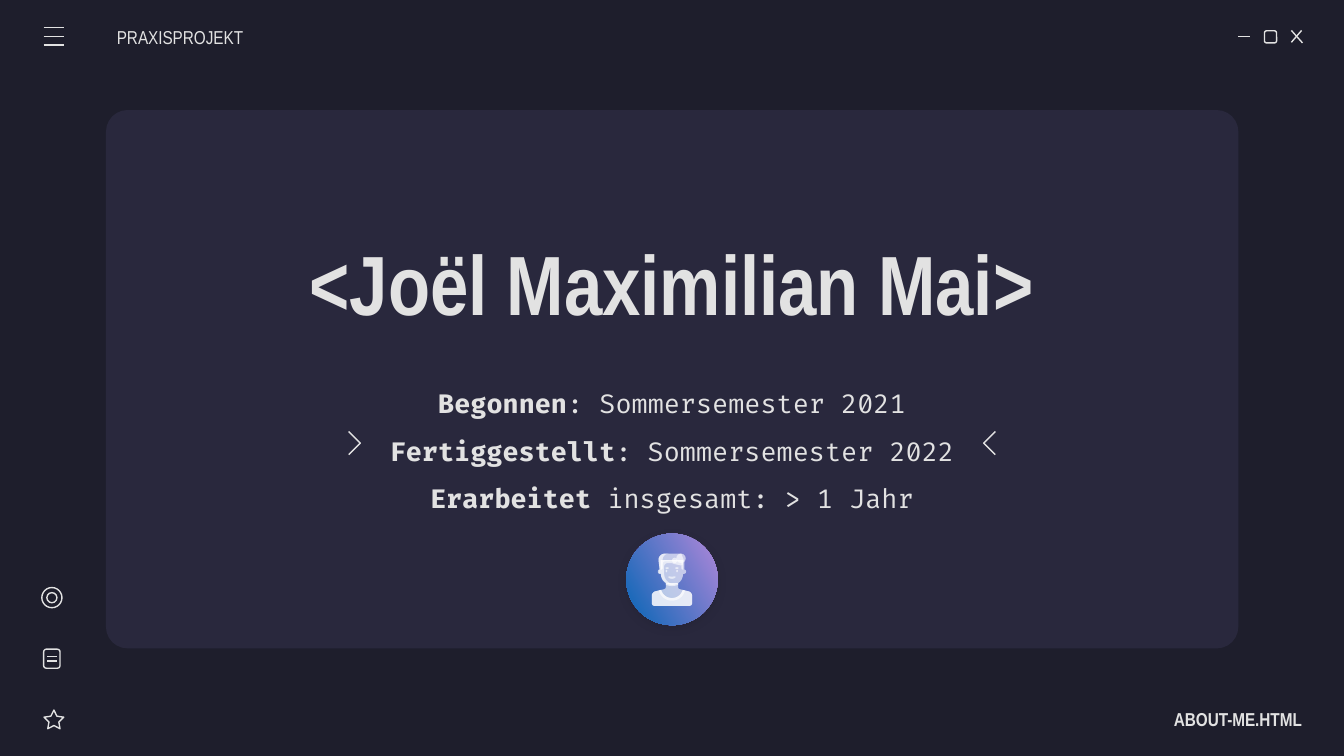
from dataclasses import dataclass

from pptx import Presentation
from pptx.dml.color import RGBColor
from pptx.enum import shapes, text
from pptx.oxml import ns, xmlchemy
from pptx.util import Pt

MSO = shapes.MSO_SHAPE
ALIGN = text.PP_ALIGN


@dataclass(frozen=True)
class Theme:
    night: str = "1E1E2C"
    panel: str = "29283D"
    ink: str = "E2E2E2"
    lilac: str = "B288DA"
    azure: str = "0665B5"
    white: str = "FFFFFF"
    heading_font: str = "Arial Narrow"
    code_font: str = "Fira Code"
    label: int = 10
    title: int = 45
    body: int = 14
    hairline: float = 0.75
    portrait_alpha: int = 61


THEME = Theme()
CENTRE = (360, 310.4)

SHOULDERS = [(-9.2, 6.5), (-10.2, 7, -10.8, 7.8, -10.8, 9),
             (-10.8, 12.6), (-10.8, 13.6, -10.2, 14.2, -9.2, 14.2)]
NECKLINE = [(0, 10), (-3, 10, -5.1, 8, -5.8, 5.6)]
SYMMETRIC_PARTS = [
    [(-3.3, 2), (-3.3, 4), (-3.3, 4.8, -3.6, 5.1, -4.3, 5.3)] + SHOULDERS,
    NECKLINE + SHOULDERS,
    [(-3.3, 2), (-3.3, 2.9), (-2.3, 3.4, -1.2, 3.6, 0, 3.6)],
    [(-6, -10.3), (-6, -5.3), (-6.6, -5.3), (-7.9, -5.3, -7.9, -3, -6.6, -3),
     (-6, -3), (-5.8, 0.6, -3.4, 3, 0, 3)],
    NECKLINE + [(-7, 6), (-6.2, 9.2, -3.4, 11.4, 0, 11.4)],
    [(0, -1.4), (-0.6, -1.4, -0.9, -1.6, -1.3, -1.6),
     (-2.2, -1.7, -2, -1, -1.5, -0.7), (-1, -0.4, -0.5, -0.3, 0, -0.3)],
]
HAIR_LEFT = [(-3.6, -13.8), (-5.8, -13.8, -7.2, -12.3, -7.2, -10.3),
             (-6.6, -5.2), (-6, -5.2), (-5.4, -5.2, -5, -5.6, -5, -6)]
ONE_SIDED_PARTS = [
    [(-6, -10.3), (-6, -5.3), (-6.6, -5.3), (-7.4, -5, -7.4, -3.2, -6.6, -3),
     (-6, -3), (-5.8, 0.6, -3, 3, 0.9, 2.8), (-2, 2.2, -4.2, 0, -4.2, -3),
     (-4.2, -6.8), (-4.2, -8, -3.3, -8.7, -2.2, -8.7), (0, -8.7),
     (1.5, -7.9, 3.2, -7.9, 4.8, -7.4), (5.8, -8), (5.8, -10.3)],
    HAIR_LEFT + [(-5, -8.2), (-5, -9, -4.4, -9.6, -3.6, -9.6), (5, -9.6),
                 (5, -6), (5, -5.6, 5.4, -5.2, 6, -5.2), (6.6, -5.2),
                 (6.6, -9.6), (5, -13.8)],
    HAIR_LEFT + [(-5, -10.3), (-5, -12.3, -3.6, -13.8, -1.6, -13.8)],
]
EYES_AND_BROWS = [(-3.4, -5.2, 0.9, 1.4), (2.3, -5.2, 0.9, 1.4),
                  (-3.6, -6.5, 1.9, 0.9), (1.7, -6.5, 1.9, 0.9)]
CURLS = [(2.3, -13.8, 5.1, 5.1), (0, -11.6, 2.9, 2.9)]


def rgb(colour):
    return RGBColor.from_string(colour)


def child(parent, tag, **attributes):
    element = xmlchemy.OxmlElement(tag)
    for key, value in attributes.items():
        element.set(key, str(value))
    parent.append(element)
    return element


def paint(shape, fill=None, line=None, alpha=None):
    shape.shadow.inherit = False
    if fill:
        shape.fill.solid()
        shape.fill.fore_color.rgb = rgb(fill)
        if alpha:
            colour = shape._element.spPr.find(".//" + ns.qn("a:srgbClr"))
            child(colour, "a:alpha", val=alpha * 1000)
    else:
        shape.fill.background()
    if line:
        shape.line.color.rgb = rgb(line)
        shape.line.width = Pt(THEME.hairline)
    else:
        shape.line.fill.background()
    return shape


def preset(slide, kind, box, **style):
    return paint(slide.shapes.add_shape(kind, *map(Pt, box)), **style)


def stroke(slide, x1, y1, x2, y2):
    line = slide.shapes.add_connector(
        shapes.MSO_CONNECTOR.STRAIGHT, Pt(x1), Pt(y1), Pt(x2), Pt(y2))
    line.line.color.rgb = rgb(THEME.ink)
    line.line.width = Pt(THEME.hairline)
    child(line._element.spPr, "a:effectLst")


def outline(slide, points, close=True, **style):
    corners = [(Pt(x), Pt(y)) for x, y in points]
    builder = slide.shapes.build_freeform(*corners[0])
    builder.add_line_segments(corners[1:], close=close)
    return paint(builder.convert_to_shape(), **style)


def flatten(segments, steps=8):
    points = [segments[0]]
    for segment in segments[1:]:
        if len(segment) == 2:
            points.append(segment)
            continue
        a, b, c, d = points[-1], segment[:2], segment[2:4], segment[4:]
        for step in range(1, steps + 1):
            t = step / steps
            s = 1 - t
            points.append(tuple(
                s**3 * a[i] + 3 * s * s * t * b[i] + 3 * s * t * t * c[i] + t**3 * d[i]
                for i in (0, 1)))
    return points


def write(box_shape, box, paragraphs, font, size, align, insets, spacing=None):
    box_shape.left, box_shape.top, box_shape.width, box_shape.height = map(Pt, box)
    frame = box_shape.text_frame
    frame.word_wrap = True
    frame.auto_size = text.MSO_AUTO_SIZE.NONE
    frame.vertical_anchor = text.MSO_ANCHOR.MIDDLE
    frame.margin_left, frame.margin_right = map(Pt, insets)
    frame.margin_top = frame.margin_bottom = Pt(7.2)
    for index, runs in enumerate(paragraphs):
        paragraph = frame.add_paragraph() if index else frame.paragraphs[0]
        paragraph.alignment = align
        paragraph.space_before = Pt(0)
        if spacing:
            paragraph.line_spacing = spacing
        for words, bold in runs:
            run = paragraph.add_run()
            run.text = words
            run.font.name, run.font.size, run.font.bold = font, Pt(size), bold
            run.font.color.rgb = rgb(THEME.ink)


def label(slide, box, words, bold, align, insets):
    write(slide.shapes.add_textbox(*map(Pt, box)), box, [[(words, bold)]],
          THEME.heading_font, THEME.label, align, insets)


def window_frame(slide):
    for row in range(3):
        y = 14.6 + 4.8 * row
        stroke(slide, 23.4, y, 34.2, y)
    stroke(slide, 663.3, 19.6, 669.5, 19.6)
    preset(slide, MSO.ROUNDED_RECTANGLE, (677.4, 16.5, 6.5, 6.5), line=THEME.ink)
    stroke(slide, 691.8, 16.3, 697.8, 23)
    stroke(slide, 697.3, 16.3, 691.8, 22.7)


def side_icons(slide):
    star = preset(slide, MSO.STAR_5_POINT, (23.6, 380.4, 10.6, 10), line=THEME.ink)
    star.adjustments[0] = 0.25
    preset(slide, MSO.ROUNDED_RECTANGLE, (23.4, 347.8, 8.8, 10.2), line=THEME.ink)
    for y in (351.6, 354.2):
        stroke(slide, 25.2, y, 30.4, y)
    for inset in (0, 2.7):
        side = 10.8 - 2 * inset
        preset(slide, MSO.OVAL, (22.4 + inset, 314.8 + inset, side, side), line=THEME.ink)


def portrait(slide):
    cx, cy = CENTRE
    disc = preset(slide, MSO.OVAL, (cx - 24.5, cy - 24.5, 49, 49))
    disc.fill.gradient()
    disc.fill.gradient_angle = 210
    for stop, colour in zip(disc.fill.gradient_stops, (THEME.lilac, THEME.azure)):
        stop.color.rgb = rgb(colour)
    effects = disc._element.spPr.find(ns.qn("a:effectLst"))
    shadow = child(effects, "a:outerShdw", blurRad=Pt(4.5), dist=Pt(1.5),
                   dir=5400000, algn="bl", rotWithShape=0)
    child(child(shadow, "a:srgbClr", val=THEME.night), "a:alpha", val=30000)

    tint = dict(fill=THEME.white, alpha=THEME.portrait_alpha)
    halves = [flatten(part) for part in SYMMETRIC_PARTS]
    parts = [half + [(-x, y) for x, y in reversed(half)] for half in halves]
    parts += [flatten(part) for part in ONE_SIDED_PARTS]
    for points in parts:
        outline(slide, [(cx + x, cy + y) for x, y in points], **tint)
    for x, y, w, h in EYES_AND_BROWS + CURLS:
        preset(slide, MSO.OVAL, (cx + x, cy + y, w, h), **tint)


def main():
    deck = Presentation()
    deck.slide_width, deck.slide_height = Pt(720), Pt(405)
    slide = deck.slides.add_slide(deck.slide_layouts[0])
    slide.background.fill.solid()
    slide.background.fill.fore_color.rgb = rgb(THEME.night)

    panel = preset(slide, MSO.ROUNDED_RECTANGLE, (56.8, 59, 606.6, 288.4), fill=THEME.panel)
    panel.adjustments[0] = 0.04
    slide.shapes._spTree.insert(2, panel._element)

    window_frame(slide)
    side_icons(slide)
    label(slide, (62.6, 8.9, 84, 21.6), "PRAXISPROJEKT", False, ALIGN.LEFT, (0, 7.2))
    label(slide, (613.4, 374.6, 84, 21.6), "ABOUT-ME.HTML", True, ALIGN.RIGHT, (7.2, 0))
    write(slide.shapes.title, (141.2, 100.1, 437, 102.2), [[("<Joël Maximilian Mai>", True)]],
          THEME.heading_font, THEME.title, ALIGN.CENTER, (7.2, 7.2))
    facts = [("Begonnen", ": Sommersemester 2021"),
             ("Fertiggestellt", ": Sommersemester 2022"),
             ("Erarbeitet", " insgesamt: > 1 Jahr")]
    write(slide.placeholders[1], (193, 202.3, 334, 69.8),
          [[(term, True), (detail, False)] for term, detail in facts],
          THEME.code_font, THEME.body, ALIGN.CENTER, (7.2, 7.2), spacing=1.5)
    for back, tip in ((186.8, 193), (533.2, 527)):
        outline(slide, [(back, 231.2), (tip, 237.4), (back, 243.6)], close=False, line=THEME.ink)
    portrait(slide)
    deck.save("out.pptx")


if __name__ == "__main__":
    main()
